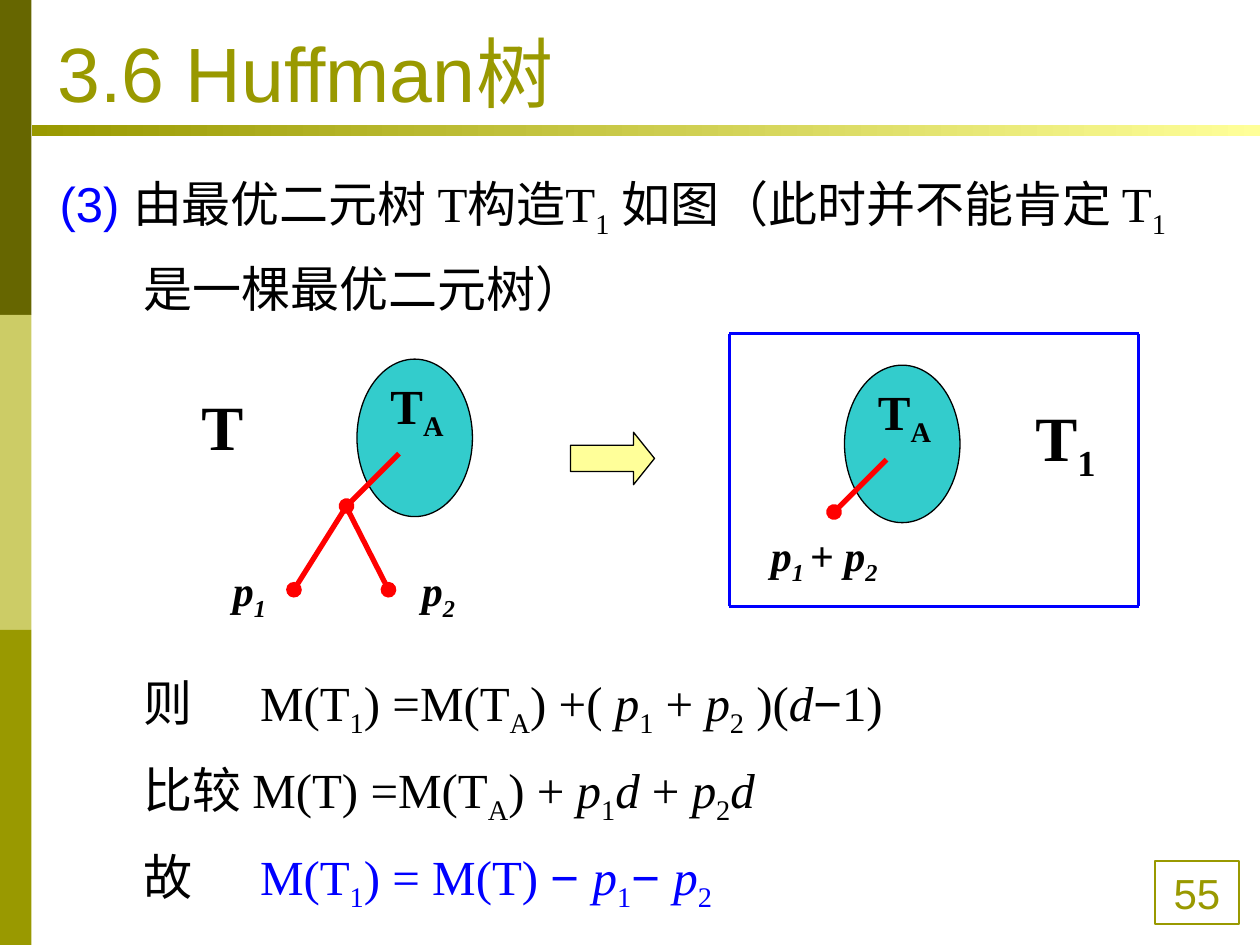
from dataclasses import dataclass
from typing import Optional

from lxml import etree
from pptx import Presentation
from pptx.dml import color as dml
from pptx.enum import shapes, text
from pptx.oxml import ns
from pptx.util import Pt

COLORS = {
    "dark_olive": "666600", "light_olive": "CCCC66", "olive": "999900",
    "yellow": "FFFF99", "teal": "33CCCC", "red": "FF0000",
    "blue": "0000FF", "black": "000000",
}
SANS, SERIF = "Arial", "Times New Roman"
SHAPE = shapes.MSO_SHAPE


@dataclass
class Box:
    left: float
    top: float
    width: float
    height: float

    def lengths(self) -> list:
        return [Pt(v) for v in (self.left, self.top, self.width, self.height)]


@dataclass
class Run:
    text: str
    italic: bool = False
    sub: bool = False
    font: str = SERIF
    color: str = "black"


@dataclass
class Formula:
    indent: float
    hanging: float
    runs: list


@dataclass
class Label:
    box: Box
    runs: list
    size: float


@dataclass
class Edge:
    start: tuple
    end: tuple


def rgb(name: str) -> dml.RGBColor:
    return dml.RGBColor.from_string(COLORS[name])


def add_run(paragraph, content: str, *, size: float, font: str = SERIF,
            color: str = "black", bold: bool = False, italic: bool = False,
            sub: bool = False) -> None:
    run = paragraph.add_run()
    run.text = content
    run.font.size, run.font.name = Pt(size), font
    run.font.bold, run.font.italic = bold, italic
    run.font.color.rgb = rgb(color)
    if sub:
        run._r.get_or_add_rPr().set("baseline", "-25000")


def add_runs(paragraph, runs: list, size: float, bold: bool = False) -> None:
    for run in runs:
        add_run(paragraph, run.text, size=size, font=run.font, color=run.color,
                bold=bold, italic=run.italic, sub=run.sub)


def place(shape, box: Box) -> None:
    shape.left, shape.top, shape.width, shape.height = box.lengths()
    shape.text_frame.auto_size = text.MSO_AUTO_SIZE.NONE
    shape.text_frame.word_wrap = True


def add_figure(slide, kind, box: Box, fill: Optional[str] = None,
               line: Optional[str] = None):
    shape = slide.shapes.add_shape(kind, *box.lengths())
    shape.shadow.inherit = False
    if fill:
        shape.fill.solid()
        shape.fill.fore_color.rgb = rgb(fill)
    else:
        shape.fill.background()
    if line:
        shape.line.color.rgb = rgb(line)
        shape.line.width = Pt(0.75)
    else:
        shape.line.fill.background()
    return shape


def add_label(slide, label: Label) -> None:
    shape = slide.shapes.add_textbox(*label.box.lengths())
    shape.text_frame.word_wrap = True
    add_runs(shape.text_frame.paragraphs[0], label.runs, label.size, bold=True)


def add_edge(slide, edge: Edge, color: str, width: float, dot: bool = False) -> None:
    line = slide.shapes.add_connector(
        shapes.MSO_CONNECTOR.STRAIGHT, *[Pt(v) for v in edge.start + edge.end])
    line.line.color.rgb = rgb(color)
    line.line.width = Pt(width)
    if dot:
        etree.SubElement(line.line._get_or_add_ln(), ns.qn("a:tailEnd"), type="oval")
    etree.SubElement(line._element.spPr, ns.qn("a:effectLst"))


def set_layout(paragraph, indent: float, hanging: float) -> None:
    paragraph.line_spacing = 1.3
    paragraph.space_before = Pt(0)
    properties = paragraph._p.get_or_add_pPr()
    properties.set("marL", str(Pt(indent)))
    properties.set("indent", str(-Pt(hanging)))
    etree.SubElement(properties, ns.qn("a:buNone"))


def p(index: str, color: str = "black", sub_italic: bool = False) -> list:
    return [Run("p", italic=True, color=color),
            Run(index, italic=sub_italic, sub=True, color=color)]


def t(index: str, before: str = "", color: str = "black") -> list:
    return [Run(before + "T", color=color), Run(index, sub=True, color=color)]


D = Run("d", italic=True)
INTRO = [
    Run("(3) ", font=SANS, color="blue"), Run("由最优二元树 ", font=SANS), Run("T"),
    Run("构造", font=SANS), *t("1"), Run(" 如"), Run("图（此时并不能肯定 ", font=SANS),
    *t("1"), Run(" "), Run("是一棵最优二元树）", font=SANS),
]
FORMULAS = [
    Formula(114.6, 66.6, [
        *t("1", "则\tM("), *t("A", ") =M("), Run(") +( "), *p("1"), Run(" + "),
        *p("2"), Run(" )("), D, Run("−", font=SANS), Run("1)")]),
    Formula(48, 0, [
        *t("A", "比较 M(T) =M("), Run(") + "), *p("1"), D, Run(" + "), *p("2"), D]),
    Formula(114.6, 66.6, [
        Run("故\t"), *t("1", "M(", "blue"), Run(") = M(T) ", color="blue"),
        Run("− ", font=SANS, color="blue"), *p("1", "blue"),
        Run("− ", font=SANS, color="blue"), *p("2", "blue")]),
]
LABELS = [
    Label(Box(126, 319, 36, 40), p("1", sub_italic=True), 24),
    Label(Box(234, 319, 42, 40), p("2", sub_italic=True), 24),
    Label(Box(108, 218, 48, 50), [Run("T")], 36),
    Label(Box(216, 211, 48, 45), t("A"), 28),
    Label(Box(494.6, 214.6, 48, 45), t("A"), 28),
    Label(Box(433.4, 298.8, 79.2, 40),
          p("1 ", sub_italic=True) + [Run("+ ")] + p("2", sub_italic=True), 24),
    Label(Box(584.6, 224, 54, 57), t("1"), 36),
]
TREE_EDGES = [
    Edge((228, 259.2), (198, 289.2)), Edge((198, 289.2), (168, 337)),
    Edge((199.2, 292.2), (222, 337)), Edge((506.6, 262.7), (476.6, 292.6)),
]


def main() -> None:
    presentation = Presentation()
    presentation.slide_width, presentation.slide_height = Pt(720), Pt(540)
    slide = presentation.slides.add_slide(presentation.slide_layouts[1])
    title, body = slide.placeholders

    # Side bands and title rule
    for row, color in enumerate(("dark_olive", "light_olive", "olive")):
        add_figure(slide, SHAPE.RECTANGLE, Box(0, 180 * row, 18, 180), color)
    rule = add_figure(slide, SHAPE.RECTANGLE, Box(18, 71.4, 702, 6.3))
    rule.fill.gradient()
    rule.fill.gradient_angle = 0
    for stop, color, position in zip(rule.fill.gradient_stops, ("olive", "yellow"), (0, 1)):
        stop.color.rgb, stop.position = rgb(color), position

    # Page number
    number = add_figure(slide, SHAPE.RECTANGLE, Box(660, 492, 48, 36), line="olive")
    paragraph = number.text_frame.paragraphs[0]
    paragraph.alignment = text.PP_ALIGN.CENTER
    add_run(paragraph, "55", size=24, font=SANS, color="olive")

    # Title, introduction and formulas
    place(title, Box(25.7, 9, 648, 62))
    title.text_frame.vertical_anchor = text.MSO_ANCHOR.BOTTOM
    paragraph = title.text_frame.paragraphs[0]
    paragraph.alignment = text.PP_ALIGN.LEFT
    add_run(paragraph, "3.6 Huffman树", size=44, font=SANS, color="olive")

    intro_box = Box(27, 84.2, 673, 106.6)
    intro = slide.shapes.add_textbox(*intro_box.lengths())
    place(intro, intro_box)
    paragraph = intro.text_frame.paragraphs[0]
    set_layout(paragraph, indent=48, hanging=48)
    add_runs(paragraph, INTRO, 28)

    place(body, Box(26.8, 369, 673, 156))
    for row, formula in enumerate(FORMULAS):
        frame = body.text_frame
        paragraph = frame.add_paragraph() if row else frame.paragraphs[0]
        set_layout(paragraph, formula.indent, formula.hanging)
        add_runs(paragraph, formula.runs, 28)

    # Both trees
    for left, top in ((204, 205.2), (482.6, 208.7)):
        add_figure(slide, SHAPE.OVAL, Box(left, top, 66, 90), "teal", "black")
    for edge in TREE_EDGES:
        add_edge(slide, edge, "red", 3, dot=True)
    for label in LABELS:
        add_label(slide, label)

    # Frame around the new tree
    corners = [(416.7, 190.7), (650.7, 190.7), (650.7, 346.5), (416.7, 346.5)]
    for start, end in zip(corners, corners[1:] + corners[:1]):
        add_edge(slide, Edge(start, end), "blue", 1.5)

    # Step arrow
    arrow = add_figure(slide, SHAPE.RIGHT_ARROW, Box(326, 247, 48, 30), "yellow", "black")
    arrow.adjustments[0], arrow.adjustments[1] = 0.5, 0.4

    presentation.save("out.pptx")


if __name__ == "__main__":
    main()
